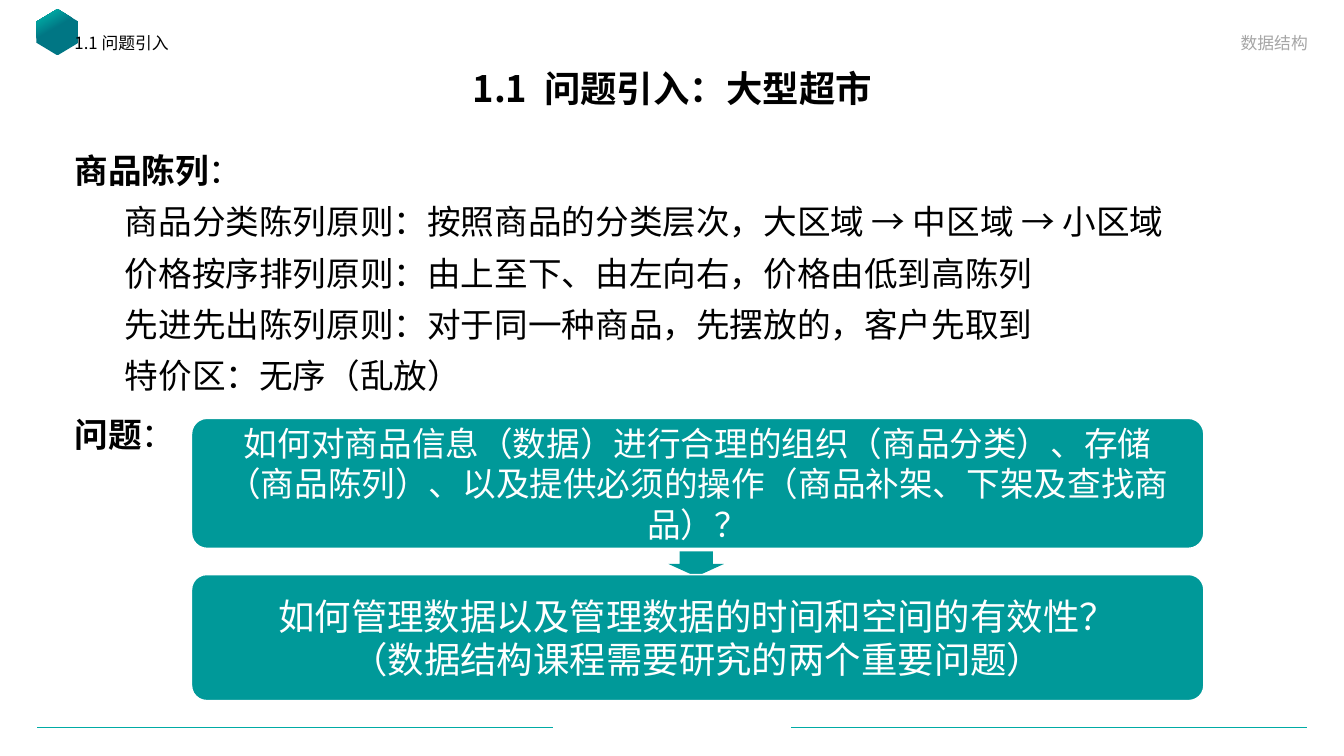
from lxml.etree import SubElement
from pptx import Presentation
from pptx.dml.color import RGBColor
from pptx.enum.shapes import MSO_CONNECTOR, MSO_SHAPE
from pptx.enum.text import MSO_ANCHOR, PP_ALIGN
from pptx.oxml.ns import qn
from pptx.util import Inches, Pt

FONT = "Noto Sans CJK SC"
BLACK = RGBColor(0x00, 0x00, 0x00)
WHITE = RGBColor(0xFF, 0xFF, 0xFF)
GRAY = RGBColor(0xA6, 0xA6, 0xA6)
TEAL = RGBColor(0x00, 0x99, 0x99)
MINT = RGBColor(0x00, 0xAB, 0xA5)
DEEP = RGBColor(0x00, 0x76, 0x84)

TITLE = "1.1  问题引入：大型超市"
TOPIC = "1.1 问题引入"
COURSE = "数据结构"
BODY = [
    ("商品陈列", "：", 0),
    ("", "商品分类陈列原则：按照商品的分类层次，大区域 → 中区域 → 小区域", 1),
    ("", "价格按序排列原则：由上至下、由左向右，价格由低到高陈列", 1),
    ("", "先进先出陈列原则：对于同一种商品，先摆放的，客户先取到", 1),
    ("", "特价区：无序（乱放）", 1),
    ("问题", "：", 0),
]
CARDS = [
    (4.15, 1.29, 24, ["如何对商品信息（数据）进行合理的组织（商品分类）、存储（商品陈列）、以及提供必须的操作（商品补架、下架及查找商品）？"]),
    (5.7, 1.25, 26, ["如何管理数据以及管理数据的时间和空间的有效性？", "（数据结构课程需要研究的两个重要问题）"]),
]
WIDE, HIGH = 13.33, 7.5
EDGE, RULE = 0.37, 5.11
LEFT, SPAN = 1.9, 10.04

deck = Presentation()
deck.slide_width, deck.slide_height = Inches(WIDE), Inches(HIGH)
slide = deck.slides.add_slide(deck.slide_layouts[6])
shapes = slide.shapes


def style(para, size, color, align=PP_ALIGN.LEFT, bold=False):
    para.alignment = align
    font = para.font
    font.size, font.bold, font.name = Pt(size), bold, FONT
    font.color.rgb = color
    props = para._p.get_or_add_pPr().find(qn("a:defRPr"))
    SubElement(props, qn("a:ea")).set("typeface", FONT)


def frame(box, anchor=MSO_ANCHOR.TOP):
    text = box.text_frame
    text.word_wrap, text.vertical_anchor = True, anchor
    return text


def label(area, words, size, color, align, anchor, bold=False, lead=0.9):
    text = frame(shapes.add_textbox(*map(Inches, area)), anchor)
    text.text = words
    para = text.paragraphs[0]
    para.line_spacing = lead
    style(para, size, color, align, bold)


def solid(kind, area, line=None):
    shape = shapes.add_shape(kind, *map(Inches, area))
    shape.shadow.inherit = False
    shape.fill.solid()
    shape.fill.fore_color.rgb = TEAL
    if line:
        shape.line.color.rgb, shape.line.width = line, Pt(1)
    else:
        shape.line.fill.background()
    return shape


for start in (EDGE, WIDE - EDGE - RULE):
    rule = shapes.add_connector(MSO_CONNECTOR.STRAIGHT, *map(Inches, (start, 7.22, start + RULE, 7.22)))
    rule.line.color.rgb, rule.line.width = MINT, Pt(0.5)
    SubElement(rule._element.spPr, qn("a:effectLst"))

mark = solid(MSO_SHAPE.HEXAGON, (0.34, 0.11, 0.46, 0.42))
mark.rotation = 90
mark.adjustments[0] = 0.3
mark.fill.gradient()
mark.fill.gradient_angle = 210
for stop, color, place in zip(mark.fill.gradient_stops, (DEEP, MINT), (0.57, 0.87)):
    stop.color.rgb, stop.position = color, place

label((0.92, 0.62, 11.5, 0.57), TITLE, 26, BLACK, PP_ALIGN.CENTER, MSO_ANCHOR.MIDDLE, True)
label((0.64, 0.3, 5.32, 0.36), TOPIC, 12, BLACK, PP_ALIGN.LEFT, MSO_ANCHOR.TOP)
label((7.43, 0.22, 5.64, 0.35), COURSE, 12, GRAY, PP_ALIGN.RIGHT, MSO_ANCHOR.BOTTOM, lead=1.0)

text = frame(shapes.add_textbox(*map(Inches, (0.64, 1.4, 12.09, 5.53))))
for order, (head, rest, level) in enumerate(BODY):
    para = text.add_paragraph() if order else text.paragraphs[0]
    para.line_spacing = 1.1
    if order:
        para.space_before = Pt(5 if level else 10)
    if level:
        para.level = level
        para._p.get_or_add_pPr().set("marL", str(Inches(0.5)))
    if head:
        run = para.add_run()
        run.text, run.font.bold = head, True
    para.add_run().text = rest
    style(para, 24, BLACK)

arrow = solid(MSO_SHAPE.DOWN_ARROW, (6.63, 5.47, 0.55, 0.25))
arrow.adjustments[0], arrow.adjustments[1] = 0.6, 0.5

for top, height, size, lines in CARDS:
    card = solid(MSO_SHAPE.ROUNDED_RECTANGLE, (LEFT, top, SPAN, height), WHITE)
    card.adjustments[0] = 0.12
    text = frame(card, MSO_ANCHOR.MIDDLE)
    text.margin_left = text.margin_right = text.margin_top = text.margin_bottom = Inches(0.17)
    text.text = "\n".join(lines)
    for para in text.paragraphs:
        style(para, size, WHITE, PP_ALIGN.CENTER)

deck.save("out.pptx")
